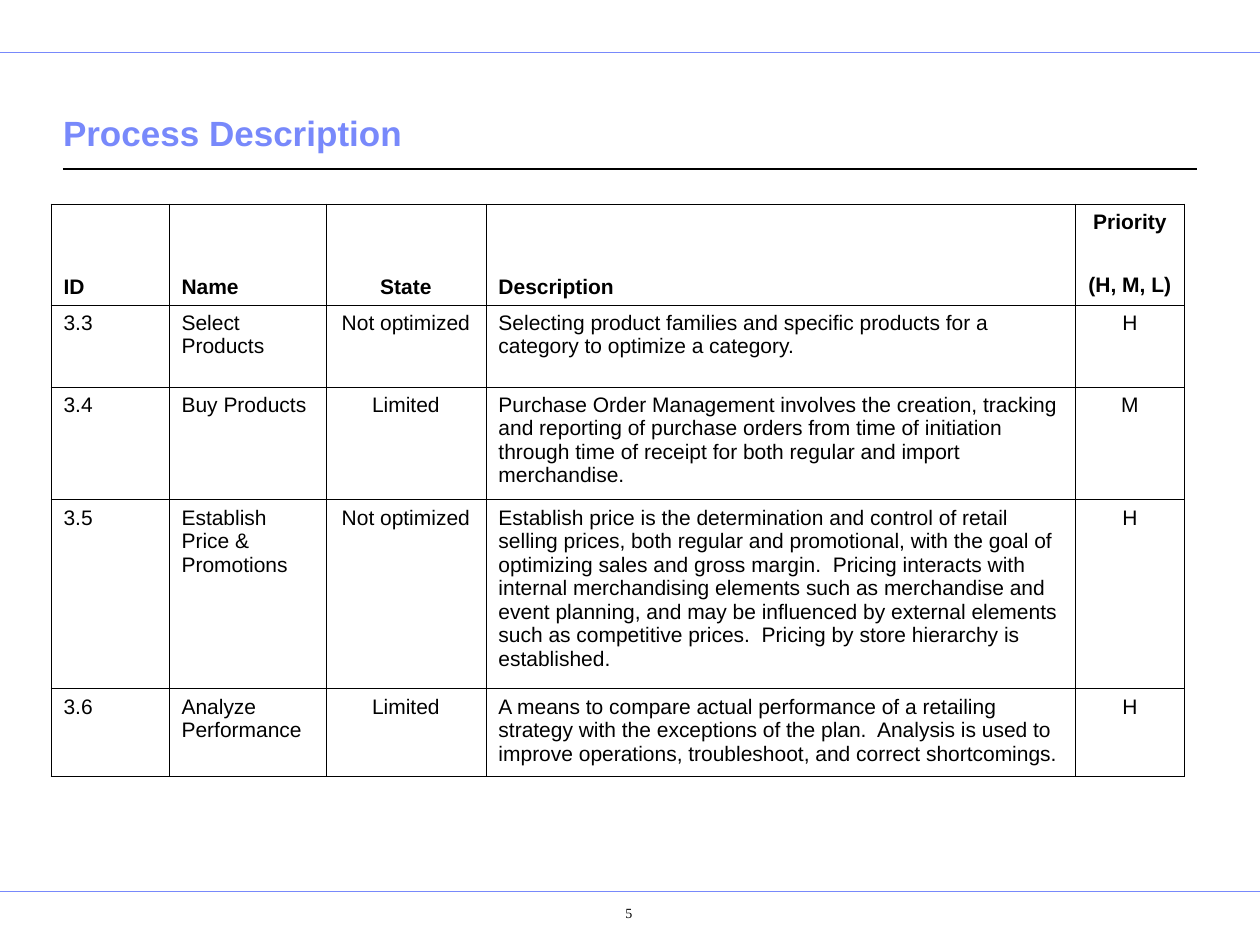
from dataclasses import dataclass

from lxml.etree import SubElement
from pptx import Presentation
from pptx.dml.color import RGBColor
from pptx.enum.shapes import MSO_CONNECTOR as Connector
from pptx.enum.text import MSO_ANCHOR as Anchor, MSO_AUTO_SIZE as AutoSize, PP_ALIGN as Align
from pptx.oxml import parse_xml
from pptx.oxml.ns import nsdecls, qn
from pptx.util import Pt

# Content
TITLE = "Process Description"
PAGE = "5"
HEADINGS = ["ID", "Name", "State", "Description", "Priority"]
PRIORITY_SCALE = "(H, M, L)"
PROCESSES = [
    ("3.3", "Select Products", "Not optimized",
     "Selecting product families and specific products for a category to "
     "optimize a category.", "H"),
    ("3.4", "Buy Products", "Limited",
     "Purchase Order Management involves the creation, tracking and reporting "
     "of purchase orders from time of initiation through time of receipt for "
     "both regular and import merchandise.", "M"),
    ("3.5", "Establish  Price & Promotions", "Not optimized",
     "Establish price is the determination and control of retail selling "
     "prices, both regular and promotional, with the goal of optimizing sales "
     "and gross margin.  Pricing interacts with internal merchandising "
     "elements such as merchandise and event planning, and may be influenced "
     "by external elements such as competitive prices.  Pricing by store "
     "hierarchy is established.", "H"),
    ("3.6", "Analyze Performance", "Limited",
     "A means to compare actual performance of a retailing strategy with the "
     "exceptions of the plan.  Analysis is used to improve operations, "
     "troubleshoot, and correct shortcomings.", "H"),
]


@dataclass(frozen=True)
class Theme:
    accent: str = "7889FB"
    ink: str = "000000"
    paper: str = "FFFFFF"
    font: str = "Arial"
    page_font: str = "Times New Roman"
    title_size: int = 20
    body_size: int = 12
    page_size: int = 8
    accent_line: float = 0.5
    title_line: float = 0.75
    grid_line: float = 0.45


THEME = Theme()

# Layout in px
PX = 914400 // 126
SLIDE_W, SLIDE_H = 1260, 945
MARGIN = 63
TITLE_BOX = (MARGIN, 81, SLIDE_W - 2 * MARGIN, 79)
PAGE_BOX = (538, 896, 145, 44)
PAGE_INDENT = 30
TABLE_AT = (51, 204)
COLUMNS = [118, 157, 160, 589, 110]
ROWS = [63, 38, 82, 113, 189, 88]
CENTRED = {2, 4}
PRIORITY = 4
RULES = [  # left, right, y, colour, weight
    (0, SLIDE_W, 52, THEME.accent, THEME.accent_line),
    (0, SLIDE_W, 891, THEME.accent, THEME.accent_line),
    (MARGIN, SLIDE_W - MARGIN, 169, THEME.ink, THEME.title_line),
]


def emu(*lengths):
    return [length * PX for length in lengths]


def write(frame, text, size=THEME.body_size, font=THEME.font, color=THEME.ink,
          bold=False, align=Align.LEFT):
    frame.word_wrap = True
    paragraph = frame.paragraphs[0]
    paragraph.alignment = align
    run = paragraph.add_run()
    run.text = text
    run.font.size, run.font.name, run.font.bold = Pt(size), font, bold
    run.font.color.rgb = RGBColor.from_string(color)
    return paragraph


def set_margins(frame, *margins):
    (frame.margin_left, frame.margin_top,
     frame.margin_right, frame.margin_bottom) = emu(*margins)


def add_rule(slide, left, right, y, color, weight):
    rule = slide.shapes.add_connector(Connector.STRAIGHT, *emu(left, y, right, y))
    rule.line.color.rgb = RGBColor.from_string(color)
    rule.line.width = Pt(weight)
    SubElement(rule._element.spPr, qn("a:effectLst"))


def set_borders(cell, open_sides):
    properties = cell._tc.get_or_add_tcPr()
    for place, side in enumerate("LRTB"):
        paint = ("<a:noFill/>" if side in open_sides else
                 f'<a:solidFill><a:srgbClr val="{THEME.ink}"/></a:solidFill>')
        properties.insert(place, parse_xml(
            f'<a:ln{side} {nsdecls("a")} w="{Pt(THEME.grid_line)}">{paint}</a:ln{side}>'))


def add_process_table(slide):
    table = slide.shapes.add_table(
        len(ROWS), len(COLUMNS), *emu(*TABLE_AT, sum(COLUMNS), sum(ROWS))).table
    for column, width in zip(table.columns, emu(*COLUMNS)):
        column.width = width
    for row, height in zip(table.rows, emu(*ROWS)):
        row.height = height

    # The priority heading is split over two cells with no line between
    scale_row = [""] * PRIORITY + [PRIORITY_SCALE]
    for r, values in enumerate([HEADINGS, scale_row, *PROCESSES]):
        for c, value in enumerate(values):
            cell = table.cell(r, c)
            cell.fill.solid()
            cell.fill.fore_color.rgb = RGBColor.from_string(THEME.paper)
            set_borders(cell, {0: "B", 1: "T"}.get(r, "") if c == PRIORITY else "")
            if value:
                write(cell.text_frame, value, bold=r < 2,
                      align=Align.CENTER if c in CENTRED else Align.LEFT)
    for c in range(PRIORITY):
        table.cell(0, c).merge(table.cell(1, c))
        table.cell(0, c).vertical_anchor = Anchor.BOTTOM


def main():
    deck = Presentation()
    deck.slide_width, deck.slide_height = emu(SLIDE_W, SLIDE_H)
    slide = deck.slides.add_slide(deck.slide_layouts[5])

    # Rules
    for rule in RULES:
        add_rule(slide, *rule)

    # Title
    title = slide.shapes.title
    title.left, title.top, title.width, title.height = emu(*TITLE_BOX)
    heading = title.text_frame
    heading.auto_size = AutoSize.NONE
    heading.vertical_anchor = Anchor.BOTTOM
    set_margins(heading, 0, 6, 0, 6)
    write(heading, TITLE, size=THEME.title_size, color=THEME.accent, bold=True)

    add_process_table(slide)

    # Page number
    page = slide.shapes.add_textbox(*emu(*PAGE_BOX)).text_frame
    set_margins(page, 20, 9, 13, 6)
    number = write(page, PAGE, size=THEME.page_size, font=THEME.page_font,
                   align=Align.CENTER)
    number._p.get_or_add_pPr().set("marL", str(PAGE_INDENT * PX))

    deck.save("out.pptx")


if __name__ == "__main__":
    main()
